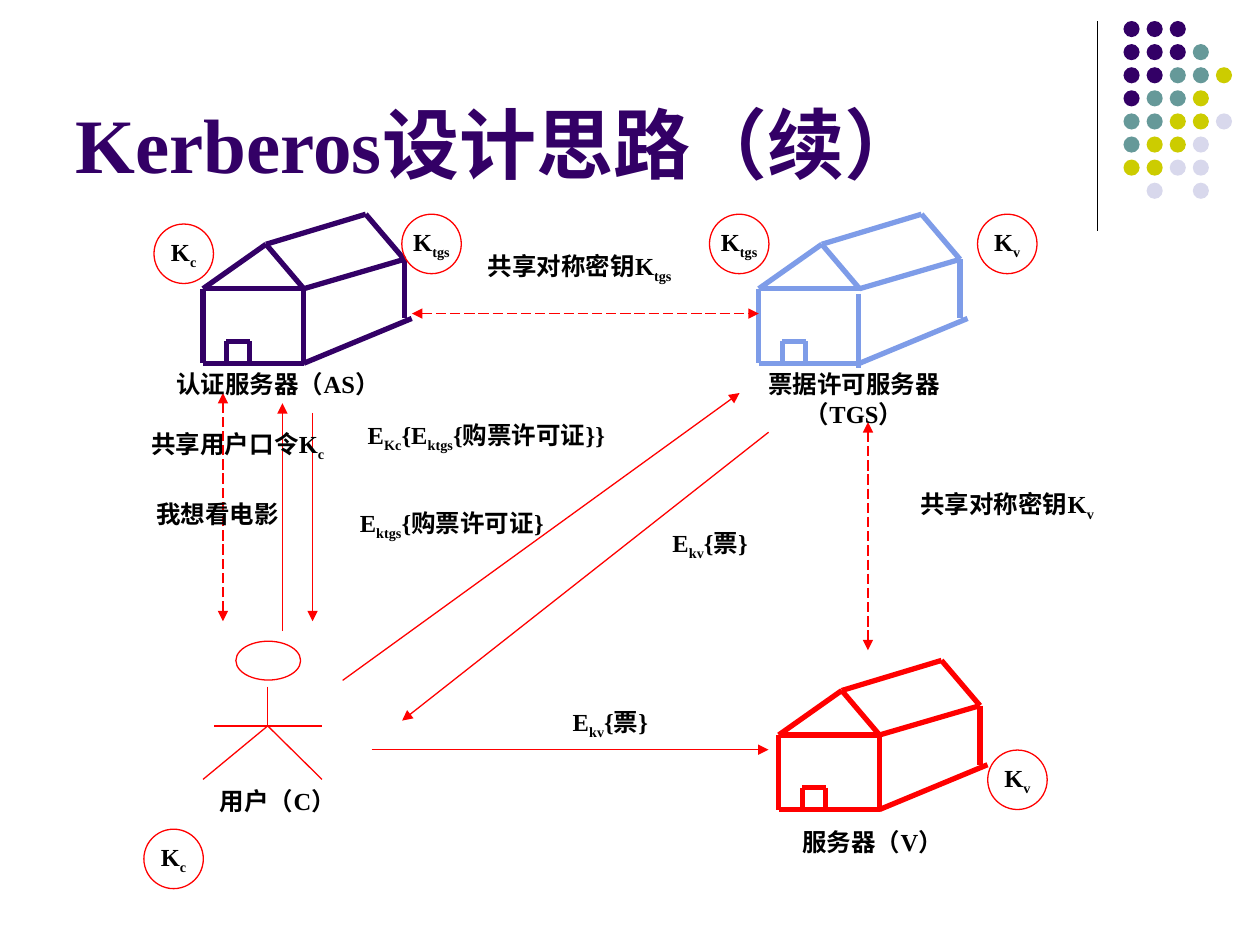
import pptx
import pptx.util
import pptx.dml.color
import pptx.enum.dml
import pptx.enum.shapes
import pptx.enum.text
import pptx.oxml
import pptx.oxml.ns

Pt = pptx.util.Pt
RGBColor = pptx.dml.color.RGBColor
ANCHOR = pptx.enum.text.MSO_ANCHOR
ALIGN = pptx.enum.text.PP_ALIGN
INDIGO = RGBColor(0x33, 0x00, 0x66)
BLUE = RGBColor(0x7E, 0x9C, 0xE8)
RED = RGBColor(0xFF, 0x00, 0x00)
BLACK = RGBColor(0x00, 0x00, 0x00)
TEAL = RGBColor(0x66, 0x99, 0x99)
OLIVE = RGBColor(0xCC, 0xCC, 0x00)
LILAC = RGBColor(0xD8, 0xD8, 0xEC)

deck = pptx.Presentation()
deck.slide_width, deck.slide_height = Pt(720), Pt(540)
slide = deck.slides.add_slide(deck.slide_layouts[6])
shapes = slide.shapes


def draw_line(x1, y1, x2, y2, color, width=0.75, ends=(), dashed=False):
    """Draw a line; ends names the tags (headEnd, tailEnd) that get an arrow."""
    line = shapes.add_connector(pptx.enum.shapes.MSO_CONNECTOR.STRAIGHT,
                                Pt(x1), Pt(y1), Pt(x2), Pt(y2))
    line.line.color.rgb = color
    line.line.width = Pt(width)
    if dashed:
        line.line.dash_style = pptx.enum.dml.MSO_LINE.LONG_DASH
    for end in ends:
        tip = pptx.oxml.ns.qn("a:" + end)
        line.line._get_or_add_ln().append(
            line._element.makeelement(tip, {"type": "triangle"}))
    props = line._element.spPr
    props.append(props.makeelement(pptx.oxml.ns.qn("a:effectLst"), {}))


def write_text(frame, text, size=14, color=BLACK, align=ALIGN.CENTER):
    """Fill a frame; every second part between bars is a subscript."""
    para = frame.paragraphs[0]
    para.alignment = align
    for i, part in enumerate(text.split("|")):
        run = para.add_run()
        run.text = part
        run.font.name = "Times New Roman"
        run.font.size = Pt(size)
        run.font.bold = True
        run.font.color.rgb = color
        if i % 2:
            run.font._element.set("baseline", "-25000")


# Corner ornament
draw_line(627, 12.2, 627, 132, BLACK)
paints = {"I": INDIGO, "T": TEAL, "O": OLIVE, "L": LILAC}
dots = ["III", "IIIT", "IITTO", "ITTO", "TTOOL", "TOOL", "OOLL", " L L"]
for row, marks in enumerate(dots):
    for col, mark in enumerate(marks):
        if mark in paints:
            dot = shapes.add_shape(pptx.enum.shapes.MSO_SHAPE.OVAL,
                                   Pt(642 + 13.2 * col), Pt(12 + 13.2 * row),
                                   Pt(9.2), Pt(9.2))
            dot.shadow.inherit = False
            dot.fill.solid()
            dot.fill.fore_color.rgb = paints[mark]
            dot.line.fill.background()

title = shapes.add_textbox(Pt(36), Pt(9.4), Pt(594), Pt(102.2))
title.text_frame.word_wrap = True
title.text_frame.vertical_anchor = ANCHOR.BOTTOM
write_text(title.text_frame, "Kerberos设计思路（续）", 44, INDIGO, ALIGN.LEFT)

# Houses: lines relative to the left wall and the top of the roof
house = [
    (36, 17.2, 0, 42.6), (36, 17.2, 57.6, 42.6), (0, 42.6, 57.6, 42.6),
    (36, 17.2, 93, 0), (93, 0, 115, 25.8), (57.6, 42.6, 115, 25.8),
    (0, 42.6, 0, 85.2), (0, 85.2, 57.6, 85.2), (57.6, 85.2, 119.3, 59.6),
    (115, 25.8, 115, 59.6),
    (13.4, 72.6, 13.4, 85.2), (13.4, 72.6, 26.8, 72.6),
    (26.8, 72.6, 26.8, 85.2),
]
# left, top, colour, offset of the front corner post
homes = [(116, 122.4, INDIGO, 0, 0), (433.6, 122.4, BLUE, -0.8, 2.8),
         (445, 377.4, RED, 0, 0)]
for left, top, color, dx, dy in homes:
    post = (57.6 + dx, 42.6 + dy, 57.6 + dx, 85.2 + dy)
    for x1, y1, x2, y2 in house + [post]:
        draw_line(left + x1, top + y1, left + x2, top + y2, color, 3)

# User figure below its head
for limb in [(153, 392.4, 153, 414.8), (153, 414.8, 116, 445.4),
             (153, 414.8, 184, 445.4), (122.4, 414.8, 184, 414.8)]:
    draw_line(*limb, RED)

# Messages
for arrow in [(161.4, 360.6, 161.4, 230.4), (178.6, 236, 178.6, 355),
              (195.8, 388.8, 422.6, 224.6), (439.2, 247, 229.8, 411.8),
              (212.4, 428.4, 439.2, 428.4)]:
    draw_line(*arrow, RED, ends=["tailEnd"])

# Shared keys
for link in [(235.4, 179.2, 433.6, 179.2), (496, 241.2, 496, 371.6),
             (127.4, 355, 127.4, 224.6)]:
    draw_line(*link, RED, ends=["headEnd", "tailEnd"], dashed=True)

labels = [
    (417, 207.4, 142, "票据许可服务器（TGS）"),
    (427.6, 468.8, 142, "服务器（V）"),
    (87.8, 207.4, 142, "认证服务器（AS）"),
    (87.8, 445.6, 142, "用户（C）"),
    (64.8, 281.6, 119, "我想看电影"),
    (184.4, 236.2, 187, "E|Kc|{E|ktgs|{购票许可证}}"),
    (184.4, 286.8, 147.6, "E|ktgs|{购票许可证}"),
    (332, 298, 147.6, "E|kv|{票}"),
    (275, 400.4, 147.6, "E|kv|{票}"),
    (252, 139.8, 158.4, "共享对称密钥K|tgs"),
    (496, 275.8, 159, "共享对称密钥K|v"),
    (76.4, 241.4, 119, "共享用户口令K|c"),
]
for left, top, width, text in labels:
    label = shapes.add_textbox(Pt(left), Pt(top), Pt(width), Pt(25))
    label.text_frame.word_wrap = True
    write_text(label.text_frame, text)

# The head of the user, then the key badges
rings = [(134.8, 366.4, 37, 22.2, "")]
badges = [(82.2, 473.8, "c"), (88, 128, "c"), (405.4, 122.4, "tgs"),
          (564.4, 428.6, "v"), (229.6, 122.4, "tgs"), (558.6, 122.4, "v")]
rings += [(left, top, 34, 34, "K|" + key) for left, top, key in badges]
for left, top, width, height, text in rings:
    ring = shapes.add_shape(pptx.enum.shapes.MSO_SHAPE.OVAL,
                            Pt(left), Pt(top), Pt(width), Pt(height))
    ring.shadow.inherit = False
    ring.fill.background()
    ring.line.color.rgb = RED
    ring.line.width = Pt(0.75)
    if text:
        ring.text_frame.word_wrap = False
        ring.text_frame.vertical_anchor = ANCHOR.MIDDLE
        write_text(ring.text_frame, text)

deck.save("out.pptx")
